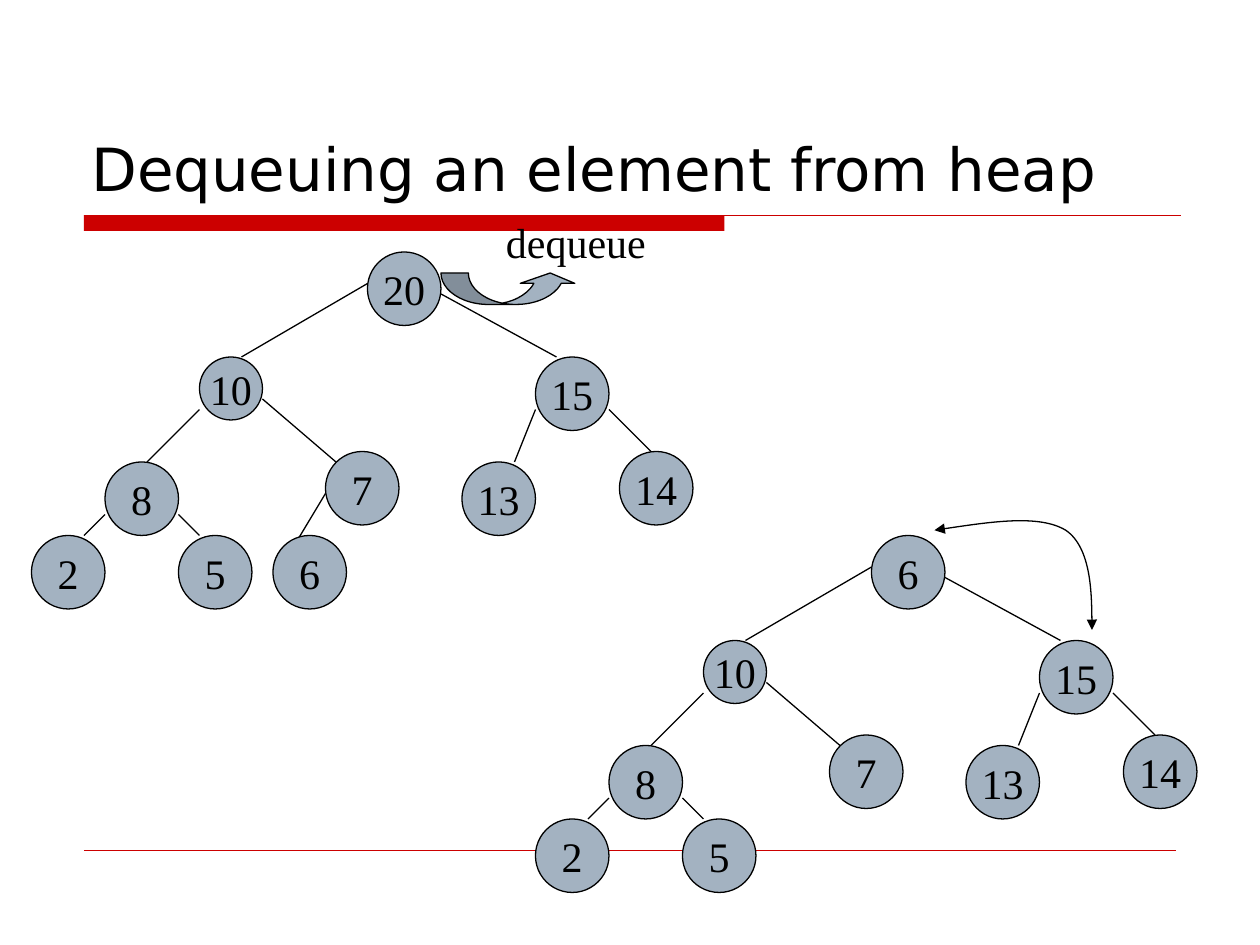
from lxml import etree
from pptx import Presentation
from pptx.dml.color import RGBColor
from pptx.enum.shapes import MSO_CONNECTOR, MSO_SHAPE
from pptx.enum.text import MSO_ANCHOR, MSO_AUTO_SIZE, PP_ALIGN
from pptx.oxml.ns import qn
from pptx.util import Cm, Pt

LINE = MSO_CONNECTOR.STRAIGHT
OVAL, RECT, SWOOP = MSO_SHAPE.OVAL, MSO_SHAPE.RECTANGLE, MSO_SHAPE.CURVED_UP_ARROW
LOW, MID, TOP = MSO_ANCHOR.BOTTOM, MSO_ANCHOR.MIDDLE, MSO_ANCHOR.TOP
GROW, FIXED = MSO_AUTO_SIZE.SHAPE_TO_FIT_TEXT, MSO_AUTO_SIZE.NONE
LEFT, CENTER = PP_ALIGN.LEFT, PP_ALIGN.CENTER

COLORS = {"ink": "000000", "node": "A3B2C1", "rule": "CC0000"}
GRID = 2.54 / 12  # one grid step in cm; the slide is 120 by 90 steps

# Nodes: left, top, size
NODES = {
    "20": (35, 24, 7), "10": (19, 34, 6), "15": (51, 34, 7),
    "8": (10, 44, 7), "7": (31, 43, 7), "13": (44, 44, 7), "14": (59, 43, 7),
    "2": (3, 51, 7), "5": (17, 51, 7), "6": (26, 51, 7),
}
# Edges by parent and child: start and end
EDGES = {
    ("20", "10"): (35, 27, 23, 34), ("20", "15"): (42, 28, 53, 34),
    ("10", "8"): (19, 39, 14, 44), ("10", "7"): (25, 38, 32, 44),
    ("15", "13"): (51, 39, 49, 44), ("15", "14"): (58, 39, 62, 43),
    ("8", "2"): (10, 49, 8, 51), ("8", "5"): (17, 49, 19, 51),
    ("7", "6"): (31, 47, 28, 52),
}


def grid(*steps):
    return [Cm(step * GRID) for step in steps]


def tint(name):
    return RGBColor.from_string(COLORS[name])


class Deck:
    serif, sans = "Times New Roman", "DejaVu Sans"

    def __init__(self):
        self.file = Presentation()
        self.file.slide_width, self.file.slide_height = grid(120, 90)
        self.slide = self.file.slides.add_slide(self.file.slide_layouts[5])
        self.shapes = self.slide.shapes

    def group(self):
        self.shapes = self.slide.shapes.add_group_shape().shapes

    def letter(self, shape, text, size, font, align, **frame):
        box = shape.text_frame
        box.text = text
        for name, value in frame.items():
            setattr(box, name, value)
        par = box.paragraphs[0]
        par.alignment = align
        style = {"size": Pt(size), "name": font, "bold": False}
        for name, value in style.items():
            setattr(par.runs[0].font, name, value)
        par.runs[0].font.color.rgb = tint("ink")
        return par

    def title(self, text, *place):
        shape = self.slide.shapes.title
        for name, value in zip(("left", "top", "width", "height"), grid(*place)):
            setattr(shape, name, value)
        self.letter(shape, text, 34, self.sans, LEFT, vertical_anchor=LOW,
                    word_wrap=True, auto_size=FIXED)

    def shape(self, kind, *place, fill="node", line="ink"):
        shape = self.shapes.add_shape(kind, *grid(*place))
        shape.shadow.inherit = False
        shape.fill.solid()
        shape.fill.fore_color.rgb = tint(fill)
        if line:
            shape.line.color.rgb = tint(line)
            shape.line.width = Pt(0.75)
        else:
            shape.line.fill.background()
        return shape

    def node(self, text, x, y, size):
        shape = self.shape(OVAL, x, y, size, size)
        self.letter(shape, text, 24, self.serif, CENTER,
                    vertical_anchor=MID, word_wrap=False)

    def label(self, text, *place):
        box = self.shapes.add_textbox(*grid(*place))
        par = self.letter(box, text, 24, self.serif, LEFT, vertical_anchor=TOP,
                          word_wrap=True, auto_size=GROW)
        par.space_before = Pt(15)

    def line(self, *ends, color="ink", width=0.75):
        line = self.shapes.add_connector(LINE, *grid(*ends))
        line.line.color.rgb = tint(color)
        line.line.width = Pt(width)
        etree.SubElement(line.element.spPr, qn("a:effectLst"))

    def curve(self, *points):
        """Double-headed Bezier arrow: a start, then three points a segment."""
        start, *rest = [grid(*point) for point in points]
        pen = self.shapes.build_freeform(*start)
        pen.add_line_segments(rest, close=False)
        shape = pen.convert_to_shape()
        shape.shadow.inherit = False
        shape.fill.background()
        shape.line.color.rgb = tint("ink")
        shape.line.width = Pt(0.75)
        # Join each three straight steps into one cubic segment
        steps = list(shape.element.iter(qn("a:lnTo")))
        for i in range(0, len(steps), 3):
            steps[i].tag = qn("a:cubicBezTo")
            for step in steps[i + 1:i + 3]:
                steps[i].append(step[0])
                step.getparent().remove(step)
        edge = shape.element.spPr.find(qn("a:ln"))
        for end in ("a:headEnd", "a:tailEnd"):
            etree.SubElement(edge, qn(end), type="triangle")

    def tree(self, root, gone=(), dx=0, dy=0):
        for (_, child), (x1, y1, x2, y2) in EDGES.items():
            if child not in gone:
                self.line(x1 + dx, y1 + dy, x2 + dx, y2 + dy)
        for name, (x, y, size) in NODES.items():
            if name not in gone:
                self.node(root if name == "20" else name, x + dx, y + dy, size)


def main():
    deck = Deck()

    # Title and rules
    deck.title("Dequeuing an element from heap", 7.5, 4, 105, 16)
    deck.shape(RECT, 8, 20.5, 61, 1.5, fill="rule", line=None)
    deck.line(8, 20.5, 112.5, 20.5, color="rule")
    deck.line(8, 81, 112, 81, color="rule", width=0.25)

    # Heap before the dequeue
    deck.group()
    deck.tree("20")
    arrow = deck.shape(SWOOP, 42, 26, 13, 3)
    for i, value in enumerate((0.87, 1.73, 0.33)):
        arrow.adjustments[i] = value
    deck.label("dequeue", 47, 20, 16, 6)

    # Heap with the last element moved to the root
    deck.group()
    deck.tree("6", gone=("6",), dx=48, dy=27)
    deck.curve((89, 50.5), (94, 49.75), (99, 49), (101.5, 50.5),
               (104, 52.2), (104, 58.4), (104, 60))

    deck.file.save("out.pptx")


if __name__ == "__main__":
    main()
